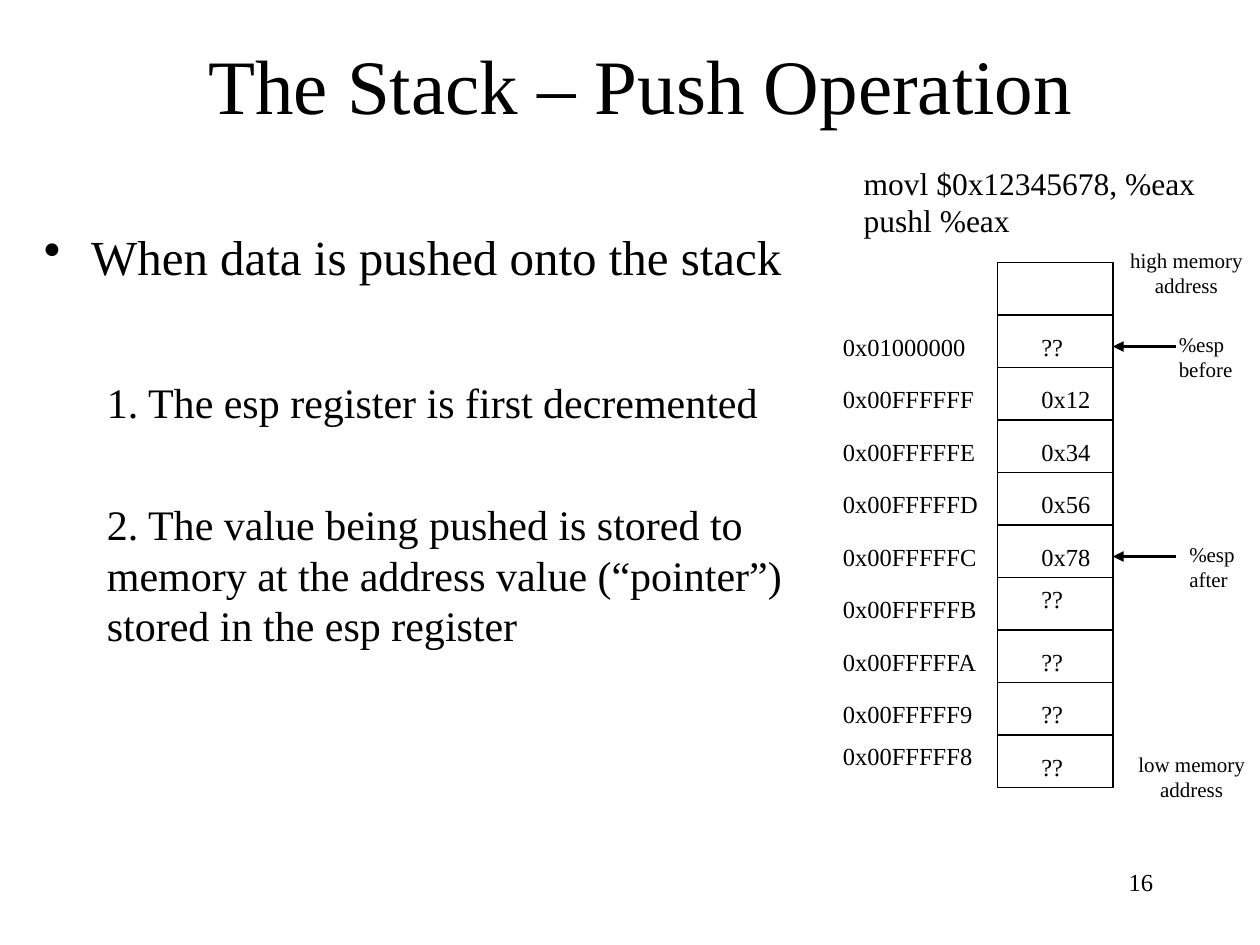
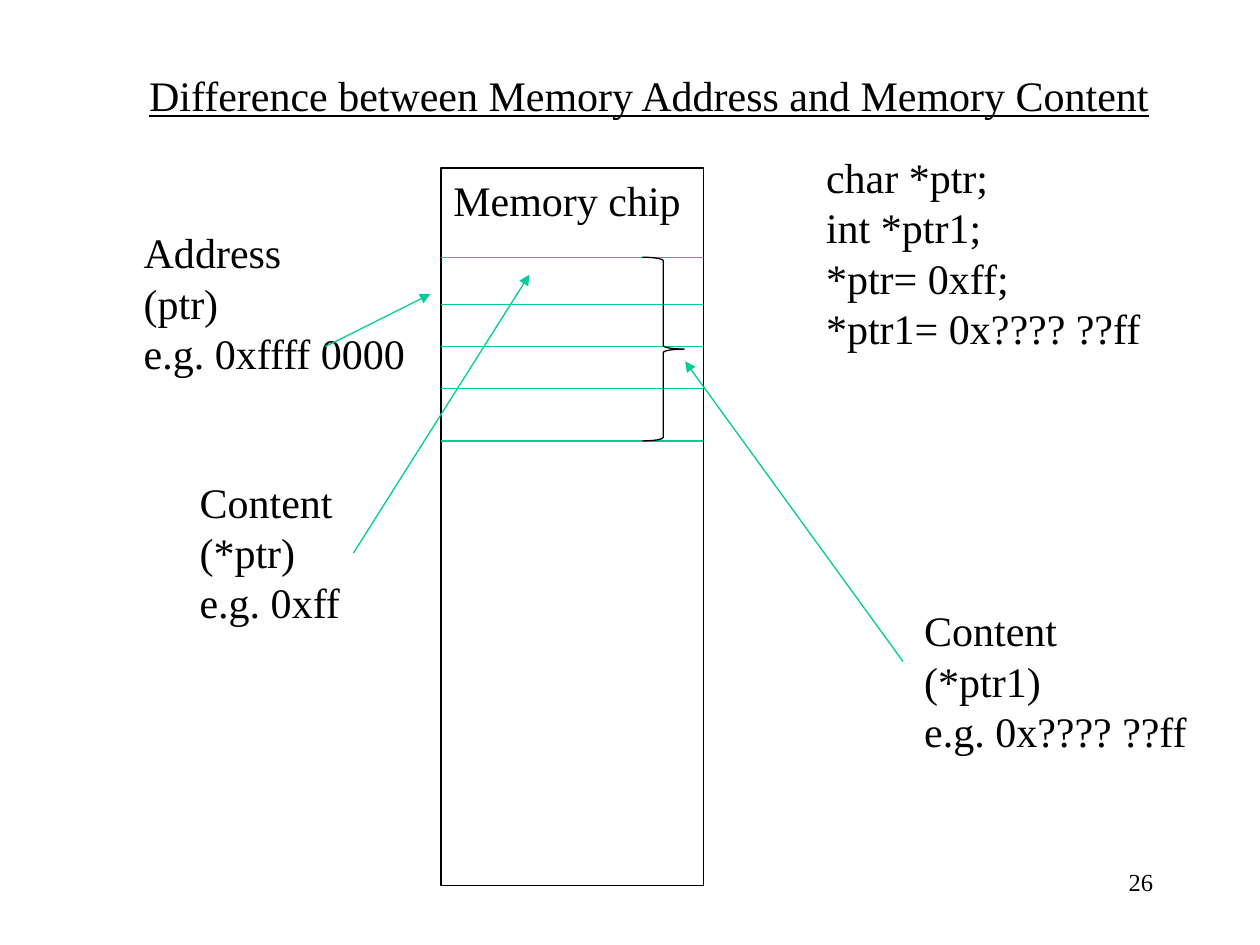
from lxml import etree
from pptx import Presentation
from pptx import util as u
from pptx.dml.color import RGBColor
from pptx.enum import shapes, text
from pptx.oxml.ns import qn

Pt = u.Pt
FONT = "Times New Roman"
BLACK = "000000"
GREEN = "00CC98"
LEFT, CENTER, RIGHT = text.PP_ALIGN.LEFT, text.PP_ALIGN.CENTER, text.PP_ALIGN.RIGHT

# Stack rows: address label, stored value
STACK = [
    ("", ""),
    ("0x01000000", "??"),
    ("0x00FFFFFF", "0x12"),
    ("0x00FFFFFE", "0x34"),
    ("0x00FFFFFD", "0x56"),
    ("0x00FFFFFC", "0x78"),
    ("0x00FFFFFB", "??"),
    ("0x00FFFFFA", "??"),
    ("0x00FFFFF9", "??"),
    ("0x00FFFFF8", "??"),
]
RAISED = {"address": 9, "value": 6}  # row whose text sits 6 pt higher
CELL_LEFT, CELL_TOP, CELL_WIDTH, CELL_HEIGHT = 570, 150, 66, 30


def color(hex_code):
    return RGBColor.from_string(hex_code)


def set_all(target, values):
    for name, value in values.items():
        setattr(target, name, value)


def style_paragraph(paragraph, size, align=LEFT, underline=False, before=0):
    set_all(paragraph, {"alignment": align, "space_before": Pt(before)})
    set_all(paragraph.font, {"name": FONT, "size": Pt(size), "underline": underline})
    paragraph.font.color.rgb = color(BLACK)


def write(frame, lines, size, align=LEFT, underline=False):
    frame.text = "\n".join(lines)
    for paragraph in frame.paragraphs:
        style_paragraph(paragraph, size, align, underline)


def place(shape, left, top, width, height):
    set_all(shape, {"left": Pt(left), "top": Pt(top),
                    "width": Pt(width), "height": Pt(height)})


def add_title(slide, words, box, size, align, underline=False):
    title = slide.shapes.title
    place(title, *box)
    set_all(title.text_frame, {"vertical_anchor": text.MSO_ANCHOR.MIDDLE,
                               "word_wrap": True,
                               "auto_size": text.MSO_AUTO_SIZE.NONE})
    write(title.text_frame, [words], size, align, underline)


def add_label(slide, lines, left, top, width, height, size, align=LEFT):
    label = slide.shapes.add_textbox(Pt(left), Pt(top), Pt(width), Pt(height))
    label.text_frame.word_wrap = True
    write(label.text_frame, lines, size, align)
    return label


def add_outline(slide, kind, left, top, width, height):
    """Add an unfilled preset shape with a thin black line."""
    outline = slide.shapes.add_shape(kind, Pt(left), Pt(top), Pt(width), Pt(height))
    outline.shadow.inherit = False
    outline.fill.background()
    outline.line.color.rgb = color(BLACK)
    outline.line.width = Pt(0.75)
    return outline


def add_line(slide, start, end, line_color=GREEN, width=0.75, arrow=False):
    line = slide.shapes.add_connector(
        shapes.MSO_CONNECTOR.STRAIGHT, *(Pt(n) for n in (*start, *end)))
    line.line.color.rgb = color(line_color)
    line.line.width = Pt(width)
    if arrow:
        etree.SubElement(line.line._get_or_add_ln(), qn("a:tailEnd"), type="triangle")
    etree.SubElement(line._element.spPr, qn("a:effectLst"))


def add_page_number(slide, number):
    add_label(slide, [number], 516, 492, 150, 36, 14, RIGHT)


def indent(paragraph, margin, hanging=0, bullet=None):
    properties = paragraph._p.get_or_add_pPr()
    properties.set("marL", str(Pt(margin)))
    properties.set("indent", str(Pt(-hanging)))
    if bullet:
        etree.SubElement(properties, qn("a:buChar"), char=bullet)


def add_push_steps(slide):
    steps = [
        ("When data is pushed onto the stack", 28, 0, (27, 27, "•")),
        ("1. The esp register is first decremented", 24, 52, (36,)),
        ("2. The value being pushed is stored to memory at the address value "
         "(“pointer”) stored in the esp register", 24, 41, (36,)),
    ]
    body = add_label(slide, [step[0] for step in steps], 18, 126, 456, 324, 24)
    for paragraph, (_, size, before, layout) in zip(body.text_frame.paragraphs, steps):
        indent(paragraph, *layout)
        style_paragraph(paragraph, size, before=before)


def add_stack(slide):
    for row, (address, value) in enumerate(STACK):
        top = CELL_TOP + row * CELL_HEIGHT
        add_outline(slide, shapes.MSO_SHAPE.RECTANGLE,
                    CELL_LEFT, top, CELL_WIDTH, CELL_HEIGHT)
        for column, words, left, width in (("address", address, 474.5, 96),
                                           ("value", value, 588, 48)):
            if words:
                text_top = top + (0 if row == RAISED[column] else 6)
                add_label(slide, [words], left, text_top, width, 24.5, 14)


def build_push_slide(slide):
    add_page_number(slide, "16")
    add_title(slide, "The Stack – Push Operation", (60, 12, 612, 72), 44, CENTER)
    add_push_steps(slide)
    add_label(slide, ["movl $0x12345678, %eax", "pushl %eax"], 486.5, 90, 216, 50, 18)
    add_stack(slide)
    for level, left, top in (("high", 638, 138), ("low", 641, 426)):
        add_label(slide, [f"{level} memory", "address"], left, top, 80, 36, 12, CENTER)
    for moment, left, top in (("before", 666.5, 186), ("after", 672.5, 306)):
        add_label(slide, ["%esp", moment], left, top, 46, 36, 12)
        add_line(slide, (672, top + 12), (CELL_LEFT + CELL_WIDTH, top + 12),
                 BLACK, 2, arrow=True)


def build_memory_slide(slide):
    add_page_number(slide, "26")
    chip_left, chip_width = 252, 150
    chip = add_outline(slide, shapes.MSO_SHAPE.RECTANGLE, chip_left, 96, chip_width, 410)
    chip.text_frame.vertical_anchor = text.MSO_ANCHOR.TOP
    chip.text_frame.word_wrap = True
    write(chip.text_frame, ["Memory chip"], 24)

    byte_edges = [147, 174, 198, 222, 252]
    for y in byte_edges:
        add_line(slide, (chip_left, y), (chip_left + chip_width, y))
    add_outline(slide, shapes.MSO_SHAPE.RIGHT_BRACE, 367, byte_edges[0], 24,
                byte_edges[-1] - byte_edges[0])

    add_title(slide, "Difference between Memory Address and Memory Content",
              (78, 36, 600, 36), 24, LEFT, underline=True)
    notes = [
        (["Address", "(ptr)", "e.g. 0xffff 0000"], 75, 126, 170),
        (["Content", "(*ptr)", "e.g. 0xff"], 107, 268.5, 100),
        (["char *ptr;", "int *ptr1;", "*ptr= 0xff;", "*ptr1= 0x???? ??ff"], 465, 83, 200),
        (["Content", "(*ptr1)", "e.g. 0x???? ??ff"], 521, 342, 170),
    ]
    for lines, left, top, width in notes:
        add_label(slide, lines, left, top, width, 7.2 + 28.8 * len(lines), 24)

    for start, end in (((186, 198), (246, 168)),
                       ((202, 316), (302.5, 157)),
                       ((516, 378), (391.5, 206.5))):
        add_line(slide, start, end, arrow=True)


def main():
    deck = Presentation()
    deck.slide_width, deck.slide_height = Pt(720), Pt(540)
    title_only = deck.slide_layouts[5]
    for build in (build_push_slide, build_memory_slide):
        build(deck.slides.add_slide(title_only))
    deck.save("out.pptx")


if __name__ == "__main__":
    main()
